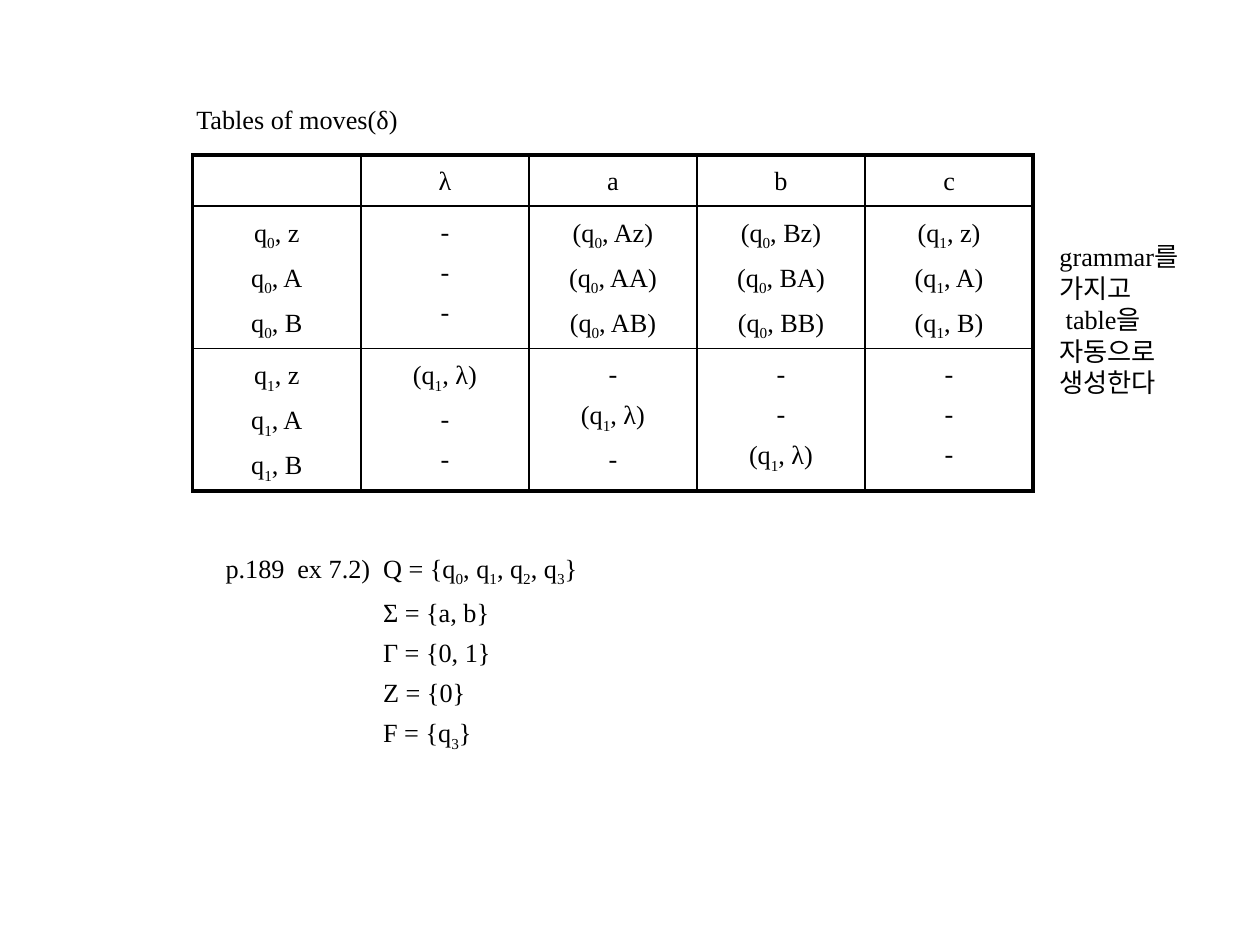
from lxml import etree
from pptx import Presentation, util as u
from pptx.dml.color import RGBColor
from pptx.enum import text
from pptx.oxml.ns import qn

FONT, SIZE, BLACK = "Times New Roman", u.Pt(15), "000000"


def write_lines(frame, lines, align=text.PP_ALIGN.LEFT, line_spacing=None, gap=0):
    """Write one paragraph per line; an underscore lowers the next character."""
    for i, line in enumerate(lines):
        paragraph = frame.paragraphs[0] if i == 0 else frame.add_paragraph()
        start, *rest = line.split("_")
        paragraph.add_run().text = start
        for part in rest:
            subscript = paragraph.add_run()
            subscript.text = part[0]
            subscript._r.get_or_add_rPr().set("baseline", "-25000")
            if part[1:]:
                paragraph.add_run().text = part[1:]
        paragraph.alignment = align
        if line_spacing:
            paragraph.line_spacing = line_spacing
        if i:
            paragraph.space_before = u.Pt(gap)
        paragraph.font.name = FONT
        paragraph.font.size = SIZE
        paragraph.font.color.rgb = RGBColor.from_string(BLACK)


def add_plain_table(slide, rows, columns, left, top, width, height):
    table = slide.shapes.add_table(rows, columns, u.Inches(left), u.Inches(top),
                                   u.Inches(width), u.Inches(height)).table
    table.first_row = table.horz_banding = False
    for cell in table.iter_cells():
        cell.fill.background()
    return table


presentation = Presentation()
presentation.slide_width, presentation.slide_height = u.Inches(10), u.Inches(7.5)
slide = presentation.slides.add_slide(presentation.slide_layouts[6])

# Table of moves
moves = [
    [[], ["λ"], ["a"], ["b"], ["c"]],
    [
        ["q_0, z", "q_0, A", "q_0, B"],
        ["-", "-", "-"],
        ["(q_0, Az)", "(q_0, AA)", "(q_0, AB)"],
        ["(q_0, Bz)", "(q_0, BA)", "(q_0, BB)"],
        ["(q_1, z)", "(q_1, A)", "(q_1, B)"],
    ],
    [
        ["q_1, z", "q_1, A", "q_1, B"],
        ["(q_1, λ)", "-", "-"],
        ["-", "(q_1, λ)", "-"],
        ["-", "-", "(q_1, λ)"],
        ["-", "-", "-"],
    ],
]
table = add_plain_table(slide, 3, 5, 1.53, 1.23, 6.67, 2.6)
for row, height in zip(table.rows, (0.4, 1.1, 1.1)):
    row.height = u.Inches(height)

for r, row in enumerate(moves):
    for c, lines in enumerate(row):
        cell = table.cell(r, c)
        write_lines(cell.text_frame, lines, text.PP_ALIGN.CENTER, 1.2, 3)
        # Thick outer frame, thin inner rules
        outer = {"lnL": c == 0, "lnR": c == 4, "lnT": r == 0, "lnB": r == 2}
        properties = cell._tc.get_or_add_tcPr()
        for position, (side, is_outer) in enumerate(outer.items()):
            border = etree.Element(qn(f"a:{side}"), w=str(u.Pt(2.25 if is_outer else 1)))
            fill = etree.SubElement(border, qn("a:solidFill"))
            etree.SubElement(fill, qn("a:srgbClr"), val=BLACK)
            properties.insert(position, border)

# Heading and side note
notes = [
    (1.46, 0.77, 1.84, 0.35, ["Tables of moves(δ)"]),
    (8.31, 1.86, 1.21, 1.35, ["grammar를", "가지고", "table을", "자동으로", "생성한다"]),
]
for left, top, width, height, lines in notes:
    box = slide.shapes.add_textbox(*map(u.Inches, (left, top, width, height)))
    frame = box.text_frame
    frame.word_wrap = False
    frame.auto_size = text.MSO_AUTO_SIZE.SHAPE_TO_FIT_TEXT
    write_lines(frame, lines)
# The third line of the side note is slightly indented
frame.paragraphs[2]._p.get_or_add_pPr().set("marL", str(u.Inches(0.05)))

# Example definition, aligned on the column of the set names
example = add_plain_table(slide, 1, 1, 1.69, 4.3, 6.67, 1.99)
frame = example.cell(0, 0).text_frame
tab_stops = etree.Element(qn("a:tabLst"))
for stop in (0.57, 1.25):
    etree.SubElement(tab_stops, qn("a:tab"), pos=str(u.Inches(stop)), algn="l")
frame.paragraphs[0]._p.get_or_add_pPr().append(tab_stops)
write_lines(frame, ["p.189\tex 7.2)\tQ = {q_0, q_1, q_2, q_3}", "Σ = {a, b}",
                    "Γ = {0, 1}", "Z = {0}", "F = {q_3}"], line_spacing=1.2, gap=3)
for paragraph in frame.paragraphs[1:]:
    paragraph._p.get_or_add_pPr().set("marL", str(u.Inches(1.25)))

presentation.save("out.pptx")
